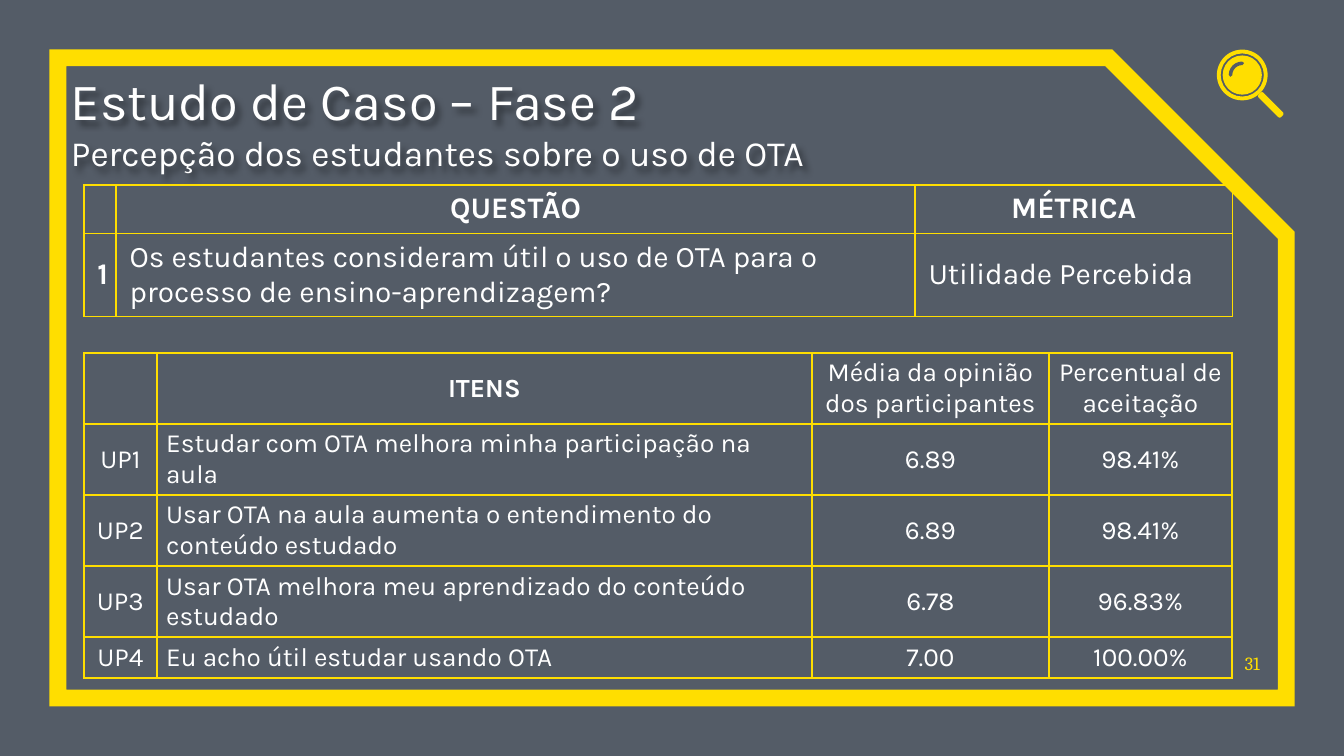
from dataclasses import dataclass

from lxml import etree
from pptx import Presentation
from pptx.dml.color import RGBColor
from pptx.enum.shapes import MSO_SHAPE
from pptx.enum.text import MSO_ANCHOR, MSO_AUTO_SIZE, PP_ALIGN
from pptx.oxml import parse_xml
from pptx.oxml.ns import nsdecls, qn
from pptx.util import Pt

LEFT, CENTER, RIGHT = PP_ALIGN.LEFT, PP_ALIGN.CENTER, PP_ALIGN.RIGHT
MIDDLE, BOTTOM = MSO_ANCHOR.MIDDLE, MSO_ANCHOR.BOTTOM
NO_FIT = MSO_AUTO_SIZE.NONE
SNIP, DONUT, OVAL = MSO_SHAPE.SNIP_1_RECTANGLE, MSO_SHAPE.DONUT, MSO_SHAPE.OVAL
ARC, ROUNDED = MSO_SHAPE.ARC, MSO_SHAPE.ROUNDED_RECTANGLE
BORDERS = ("a:lnL", "a:lnR", "a:lnT", "a:lnB")
TITLE_ONLY = 5


@dataclass(frozen=True)
class Theme:
    """Colours, fonts and type sizes of the slide."""
    back: RGBColor = RGBColor(0x54, 0x5C, 0x67)
    accent: RGBColor = RGBColor(0xFF, 0xDE, 0x00)
    text: RGBColor = RGBColor(0xFF, 0xFF, 0xFF)
    font: str = "Karla"
    number_font: str = "Cambria"
    title: float = 28
    subtitle: float = 19
    question: float = 16
    items: float = 14
    number: float = 10


@dataclass(frozen=True)
class Box:
    """Place and size in points."""
    x: float
    y: float
    w: float
    h: float

    def emu(self) -> tuple:
        """Return the four lengths for python-pptx."""
        return Pt(self.x), Pt(self.y), Pt(self.w), Pt(self.h)


@dataclass(frozen=True)
class Cell:
    """Text and look of one table cell."""
    text: str = ""
    align: PP_ALIGN = CENTER
    bold: bool = False


@dataclass(frozen=True)
class Grid:
    """A bordered table."""
    x: float
    y: float
    cols: tuple
    rows: tuple
    cells: tuple
    size: float
    inset_x: float
    inset_y: float


THEME = Theme()

QUESTION = Grid(
    45, 99, (17, 428, 170), (26, 44.6),
    (
        (Cell(), Cell("QUESTÃO", bold=True), Cell("MÉTRICA", bold=True)),
        (
            Cell("1", bold=True),
            Cell("Os estudantes consideram útil o uso de OTA para o "
                 "processo de ensino-aprendizagem?", LEFT),
            Cell("Utilidade Percebida", LEFT),
        ),
    ),
    THEME.question, 7.2, 3.6,
)

ANSWERS = (
    ("Estudar com OTA melhora minha participação na aula", "6.89", "98.41%"),
    ("Usar OTA na aula aumenta o entendimento do conteúdo estudado", "6.89", "98.41%"),
    ("Usar OTA melhora meu aprendizado do conteúdo estudado", "6.78", "96.83%"),
    ("Eu acho útil estudar usando OTA", "7.00", "100.00%"),
)

ITEMS = Grid(
    45, 189, (39, 351, 127, 98), (38, 38, 38, 38, 22),
    (
        (
            Cell(),
            Cell("ITENS", bold=True),
            Cell("Média da opinião\ndos participantes"),
            Cell("Percentual de\naceitação"),
        ),
        *(
            (Cell(f"UP{i}"), Cell(item, LEFT), Cell(mean), Cell(share))
            for i, (item, mean, share) in enumerate(ANSWERS, 1)
        ),
    ),
    THEME.items, 5, 2.7,
)


def style(p, size: float, font: str = THEME.font, color: RGBColor = THEME.text,
          align: PP_ALIGN = LEFT, bold: bool = False) -> None:
    """Format a whole paragraph."""
    p.alignment = align
    p.font.size, p.font.name, p.font.bold = Pt(size), font, bold
    p.font.color.rgb = color


def bare_frame(sp):
    """Return a bottom-anchored text frame without insets."""
    tf = sp.text_frame
    tf.word_wrap, tf.auto_size, tf.vertical_anchor = True, NO_FIT, BOTTOM
    tf.margin_left = tf.margin_right = tf.margin_top = tf.margin_bottom = 0
    return tf


def add_filled(s, kind: MSO_SHAPE, box: Box):
    """Add an accent shape without outline."""
    sp = s.shapes.add_shape(kind, *box.emu())
    sp.shadow.inherit = False
    sp.fill.solid()
    sp.fill.fore_color.rgb = THEME.accent
    sp.line.fill.background()
    return sp


def add_stroked(s, kind: MSO_SHAPE, box: Box, color: RGBColor, width: float):
    """Add an outlined shape without fill."""
    sp = s.shapes.add_shape(kind, *box.emu())
    sp.shadow.inherit = False
    sp.fill.background()
    sp.line.color.rgb = color
    sp.line.width = Pt(width)
    return sp


def add_frame(s) -> None:
    """Draw the thick frame with its cut corner."""
    sp = add_stroked(s, SNIP, Box(31, 31, 658, 343), THEME.accent, 9)
    sp.adjustments[0] = 0.277
    etree.SubElement(sp.line._get_or_add_ln(), qn("a:miter")).set("lim", "800000")


def add_magnifier(s, cx: float, cy: float) -> None:
    """Draw the magnifying glass around the centre of its lens."""
    def around(r: float) -> Box:
        return Box(cx - r, cy - r, 2 * r, 2 * r)

    add_filled(s, DONUT, around(13.6)).adjustments[0] = 0.075
    add_filled(s, OVAL, around(10.5))
    glare = add_stroked(s, ARC, around(6.3), THEME.back, 1.9)
    glare.adjustments[0], glare.adjustments[1] = 108, 162
    glare.line._get_or_add_ln().set("cap", "rnd")
    handle = add_filled(s, ROUNDED, Box(cx + 6.8, cy + 14.2, 17, 3.6))
    handle.adjustments[0] = 0.3
    handle.rotation = 45


def add_title(s, lines: tuple) -> None:
    """Fill the title placeholder with shadowed lines."""
    sp = s.shapes.title
    sp.left, sp.top, sp.width, sp.height = Box(38, 39, 606, 54).emu()
    tf = bare_frame(sp)
    tf.text = "\n".join(text for text, _ in lines)
    for p, (_, size) in zip(tf.paragraphs, lines):
        style(p, size)
    sp._element.spPr.append(parse_xml(
        f'<a:effectLst {nsdecls("a")}><a:outerShdw blurRad="38100" dist="38100" '
        'dir="2700000" algn="tl"><a:srgbClr val="000000"><a:alpha val="43000"/>'
        '</a:srgbClr></a:outerShdw></a:effectLst>'))


def add_border(cell) -> None:
    """Line a cell on all four sides."""
    tcPr = cell._tc.get_or_add_tcPr()
    for i, tag in enumerate(BORDERS):
        ln = etree.Element(qn(tag), w=str(Pt(1)))
        fill = etree.SubElement(ln, qn("a:solidFill"))
        etree.SubElement(fill, qn("a:srgbClr"), val=str(THEME.accent))
        tcPr.insert(i, ln)


def add_grid(s, grid: Grid) -> None:
    """Draw a bordered table."""
    box = Box(grid.x, grid.y, sum(grid.cols), sum(grid.rows))
    table = s.shapes.add_table(len(grid.rows), len(grid.cols), *box.emu()).table
    table.first_row = table.horz_banding = False
    for col, width in zip(table.columns, grid.cols):
        col.width = Pt(width)
    for row, height, cells in zip(table.rows, grid.rows, grid.cells):
        row.height = Pt(height)
        for cell, data in zip(row.cells, cells):
            cell.fill.background()
            add_border(cell)
            cell.vertical_anchor = MIDDLE
            cell.margin_left = cell.margin_right = Pt(grid.inset_x)
            cell.margin_top = cell.margin_bottom = Pt(grid.inset_y)
            cell.text = data.text
            for p in cell.text_frame.paragraphs:
                style(p, grid.size, align=data.align, bold=data.bold)


def add_number(s, text: str) -> None:
    """Write the slide number."""
    p = bare_frame(s.shapes.add_textbox(*Box(656, 341, 19, 20).emu())).paragraphs[0]
    p.text = text
    style(p, THEME.number, THEME.number_font, THEME.accent, RIGHT)


def main() -> None:
    """Build the slide and save it."""
    prs = Presentation()
    prs.slide_width, prs.slide_height = Pt(720), Pt(405)
    s = prs.slides.add_slide(prs.slide_layouts[TITLE_ONLY])
    s.background.fill.solid()
    s.background.fill.fore_color.rgb = THEME.back
    add_frame(s)
    add_number(s, "31")
    add_magnifier(s, 665.5, 40.2)
    add_title(s, (
        ("Estudo de Caso – Fase 2", THEME.title),
        ("Percepção dos estudantes sobre o uso de OTA", THEME.subtitle),
    ))
    add_grid(s, QUESTION)
    add_grid(s, ITEMS)
    prs.save("out.pptx")


if __name__ == "__main__":
    main()
